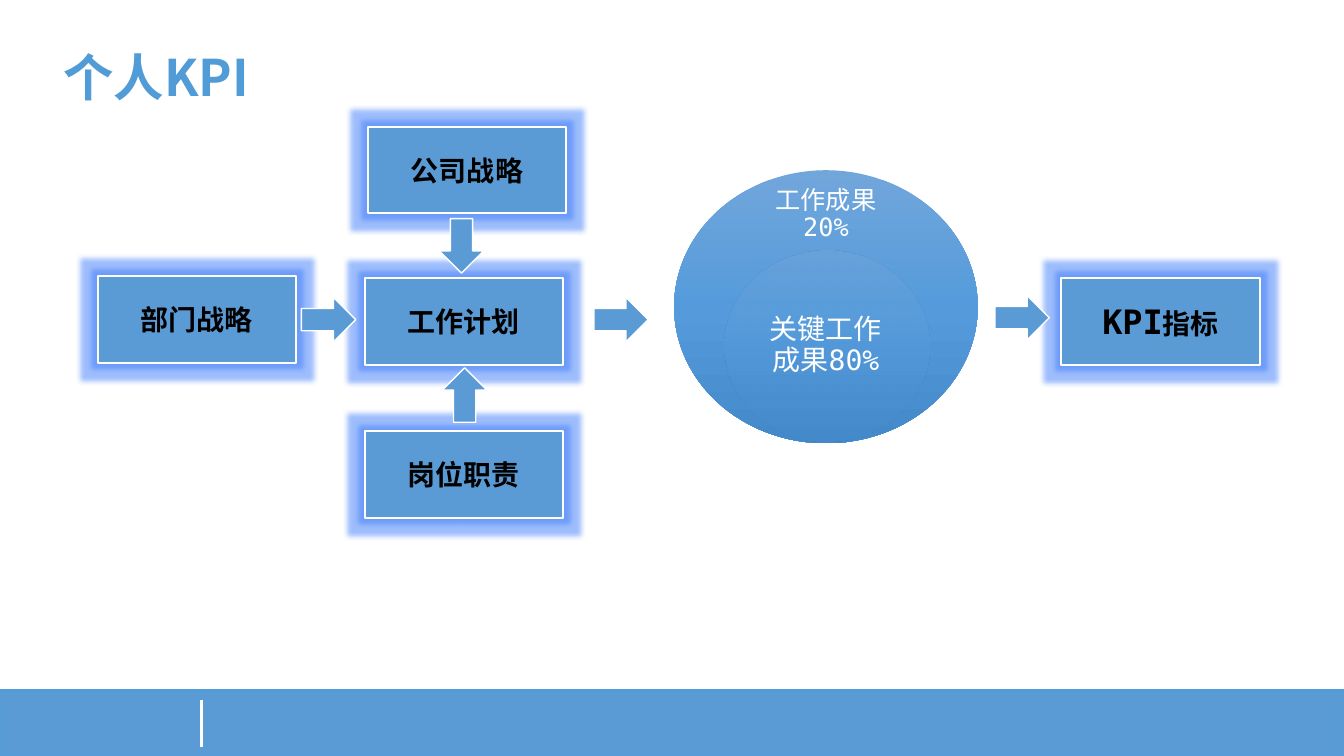
from dataclasses import dataclass

from lxml.etree import SubElement
from pptx import Presentation
from pptx.dml.color import RGBColor
from pptx.enum.shapes import MSO_CONNECTOR, MSO_SHAPE
from pptx.enum.text import MSO_ANCHOR, PP_ALIGN
from pptx.oxml.ns import qn
from pptx.util import Cm, Pt


@dataclass(frozen=True)
class Theme:
    blue: str = "5B9BD5"
    bar_line: str = "529DD7"
    title: str = "519CD6"
    white: str = "FFFFFF"
    black: str = "000000"
    glow: str = "3C7BFA"
    gradient: tuple = ((0, "71A6DB"), (50, "559BDB"), (100, "448ACA"))
    cjk: str = "Noto Sans CJK SC"
    mono: str = "DejaVu Sans Mono"
    title_size: int = 36
    kpi_size: int = 24
    label_size: int = 20
    outer_size: int = 18


T = Theme()
BOX_W, BOX_H = 5, 2.18
ARROW_W, ARROW_H = 1.12, 1.37


def child(parent, tag, **attrs):
    return SubElement(parent, qn(tag), {k: str(v) for k, v in attrs.items()})


def add_color(parent, color, alpha=100):
    clr = child(parent, "a:srgbClr", val=color)
    if alpha < 100:
        child(clr, "a:alpha", val=alpha * 1000)


def write(tf, *runs, color=T.black, font=T.mono, bold=False,
          align=PP_ALIGN.CENTER, anchor=MSO_ANCHOR.MIDDLE,
          inset=None, spacing=None, wrap=True):
    """Fill a text frame with one paragraph of (text, size) runs."""
    tf.word_wrap = wrap
    tf.vertical_anchor = anchor
    if inset is not None:
        tf.margin_left = tf.margin_right = Cm(inset)
        tf.margin_top = tf.margin_bottom = Cm(inset)
    p = tf.paragraphs[0]
    p.alignment = align
    if spacing:
        p.line_spacing = spacing
    for text, size in runs:
        r = p.add_run()
        r.text = text
        r.font.size = Pt(size)
        r.font.bold = bold
        r.font.color.rgb = RGBColor.from_string(color)
        r.font.name = font
        child(r.font._element, "a:ea", typeface=T.cjk)


def add_text(s, box, *runs, **style):
    sp = s.shapes.add_textbox(*map(Cm, box))
    write(sp.text_frame, *runs, **style)


def add_solid(s, kind, box, line, width):
    sp = s.shapes.add_shape(kind, *map(Cm, box))
    sp.shadow.inherit = False
    sp.fill.solid()
    sp.fill.fore_color.rgb = RGBColor.from_string(T.blue)
    sp.line.color.rgb = RGBColor.from_string(line)
    sp.line.width = Pt(width)
    return sp


def add_footer(s, box):
    x, y, w, h = box
    add_solid(s, MSO_SHAPE.RECTANGLE, box, T.bar_line, 1.5)
    rule = s.shapes.add_connector(MSO_CONNECTOR.STRAIGHT, Cm(x + 5.08), Cm(y + 0.23),
                                  Cm(x + 5.08), Cm(y + h - 0.23))
    rule.line.color.rgb = RGBColor.from_string(T.white)
    rule.line.width = Pt(2.25)
    child(rule._element.spPr, "a:effectLst")


def add_glowing_box(s, x, y, *runs):
    sp = add_solid(s, MSO_SHAPE.RECTANGLE, (x, y, BOX_W, BOX_H), T.white, 1.5)
    effects = sp._element.spPr.find(qn("a:effectLst"))
    add_color(child(effects, "a:glow", rad=Pt(8)), T.glow, 50)
    write(sp.text_frame, *runs, bold=True)


def add_arrow(s, x, y, rotation):
    sp = add_solid(s, MSO_SHAPE.UP_ARROW, (x, y, ARROW_W, ARROW_H), T.white, 1)
    sp.rotation = rotation


def add_disc(s, box, alpha=100):
    """Ellipse shaded from top to bottom."""
    sp = s.shapes.add_shape(MSO_SHAPE.OVAL, *map(Cm, box))
    sp.shadow.inherit = False
    sp.line.fill.background()
    sp.fill.gradient()
    grad = sp._element.spPr.find(qn("a:gradFill"))
    for part in list(grad):
        grad.remove(part)
    stops = child(grad, "a:gsLst")
    for pos, color in T.gradient:
        add_color(child(stops, "a:gs", pos=pos * 1000), color, alpha)
    child(grad, "a:lin", ang=90 * 60000, scaled=0)


def add_results(s, box):
    """Nested discs: all results, and the key results inside them."""
    x, y, w, h = box
    add_disc(s, box)
    add_text(s, (x + (w - 4.01) / 2, y + 0.54, 4.01, 1.17),
             ("工作成果20%", T.outer_size), color=T.white, inset=0.36, spacing=0.9)
    add_disc(s, (x + 1.27, y + 2.03, 5.16, 4.8), alpha=50)
    add_text(s, (x + (w - 3.66) / 2, y + 3.23, 3.66, 2.39),
             ("关键工作成果80%", T.label_size), color=T.white, inset=0.41, spacing=0.9)


def add_flow(s, box):
    x, y, w, h = box
    for dx, dy, label in ((0, 3.76, "部门战略"), (6.81, 0, "公司战略"),
                          (6.73, 7.67, "岗位职责"), (6.73, 3.81, "工作计划")):
        add_glowing_box(s, x + dx, y + dy, (label, T.label_size))
    add_glowing_box(s, x + w - BOX_W, y + 3.81,
                    ("KPI", T.kpi_size), ("指标", T.label_size))
    add_results(s, (x + 14.53, y + 1.09, 7.65, 6.88))
    for dx, dy, rotation in ((8.69, 6.07, 0), (8.61, 2.31, 180), (5.26, 4.17, 90),
                             (12.63, 4.17, 90), (22.74, 4.12, 90)):
        add_arrow(s, x + dx, y + dy, rotation)


def main():
    prs = Presentation()
    prs.slide_width, prs.slide_height = Cm(33.87), Cm(19.05)
    s = prs.slides.add_slide(prs.slide_layouts[6])
    add_footer(s, (0, 17.4, 33.87, 1.65))
    add_text(s, (1.35, 1.04, 7.87, 1.8), ("个人KPI", T.title_size), color=T.title,
             font=T.cjk, bold=True, align=PP_ALIGN.JUSTIFY, anchor=MSO_ANCHOR.TOP)
    add_flow(s, (2.46, 3.2, 29.29, 9.85))
    prs.save("out.pptx")


if __name__ == "__main__":
    main()
